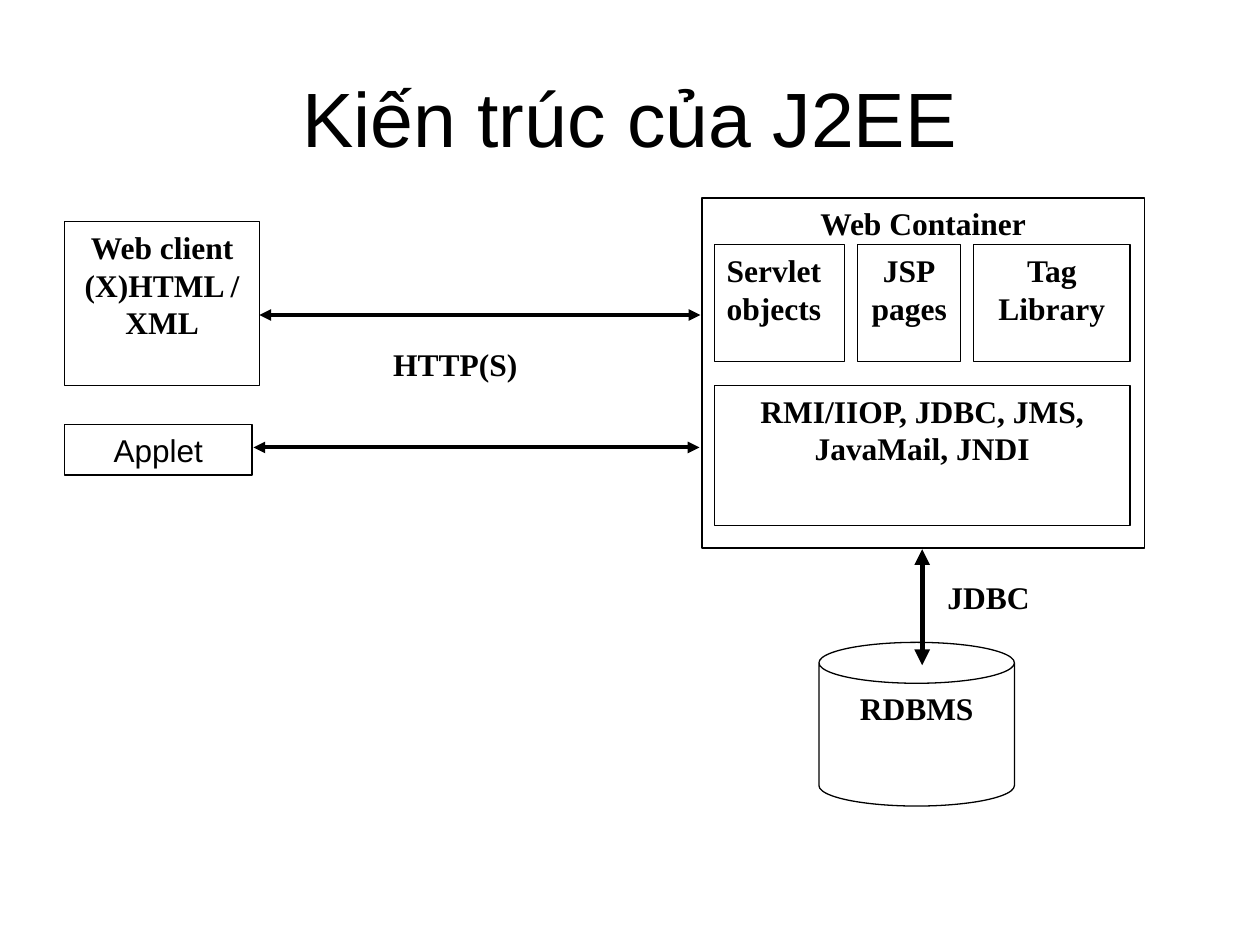
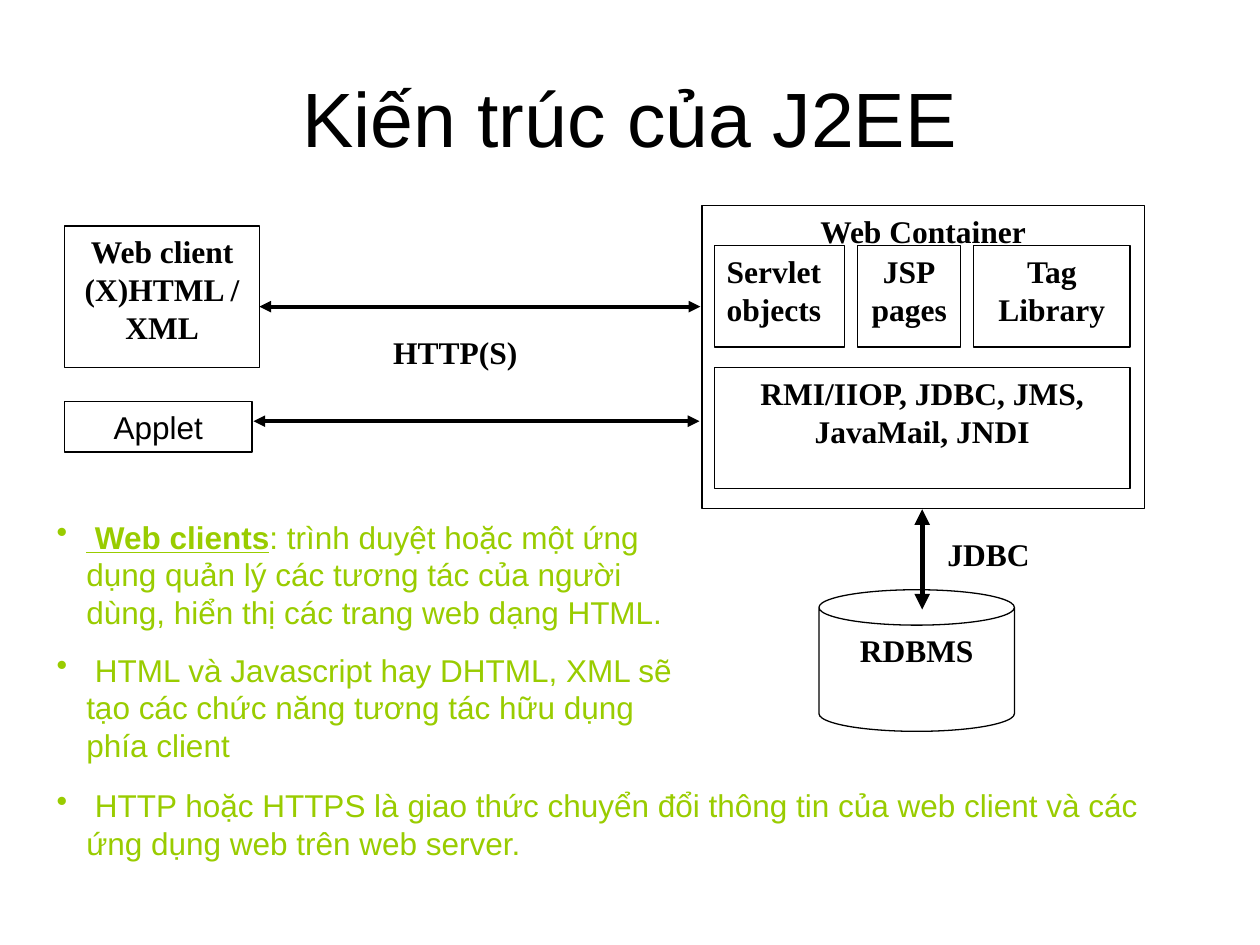
from dataclasses import dataclass
from itertools import accumulate

from lxml import etree
from pptx import Presentation, util as u
from pptx.dml import color
from pptx.enum import shapes, text
from pptx.oxml import ns

HUES = {"ink": "000000", "paper": "FFFFFF", "note": "99CC00"}
SANS, SERIF = "Arial", "Times New Roman"
TITLE = "Kiến trúc của J2EE"
LEFT, MID = text.PP_ALIGN.LEFT, text.PP_ALIGN.CENTER
RECT, CAN = shapes.MSO_SHAPE.RECTANGLE, shapes.MSO_SHAPE.CAN
DIM = 0.6  # bullet indent, cm


@dataclass
class Box:
    """A labelled shape; lengths in cm."""
    label: str
    left: float
    top: float
    width: float
    height: float
    kind: shapes.MSO_SHAPE = RECT
    align: text.PP_ALIGN = MID
    font: str = SERIF
    bold: bool = True
    fill: str | None = "paper"
    line: bool = True
    rigid: bool = False  # keeps its height when the diagram is squeezed


@dataclass
class Arrow:
    """A line with a head at both ends; lengths in cm, weight in points."""
    x1: float
    y1: float
    x2: float
    y2: float
    weight: float = 2.25


@dataclass
class Scale:
    """Vertical squeeze of the diagram, which starts at top."""
    top: float
    ratio: float

    def y(self, val: float) -> float:
        return self.top + (val - ROOF) * self.ratio


# Diagram at full height
ROOF = 3.99
INNER, GAP = 14.4, 0.26
PARTS = [("Servlet objects", 2.63, LEFT), ("JSP\npages", 2.08, MID),
         ("Tag Library", 3.15, MID)]
EDGES = accumulate((wide + GAP for _, wide, _ in PARTS), initial=INNER)

BOXES = [
    Box("Web client\n(X)HTML /\nXML", 1.3, 4.47, 3.94, 3.3),
    Box("Web Container", 14.15, ROOF, 8.92, 7.06),
    *(Box(name, left, 4.93, wide, 2.36, align=align)
      for (name, wide, align), left in zip(PARTS, EDGES)),
    Box("RMI/IIOP, JDBC, JMS, JavaMail, JNDI", INNER, 7.77, 8.38, 2.82),
    Box("HTTP(S)", 5.23, 6.83, 7.9, 1.4, fill=None, line=False),
    Box("RDBMS", 16.51, 12.95, 3.94, 3.3, kind=CAN),
    Box("JDBC", 18.85, 11.53, 3.15, 1.4, align=LEFT, line=False),
    Box("Applet", 1.3, 8.56, 3.78, 1.02, font=SANS, bold=False,
        fill=None, rigid=True),
]
ARROWS = [
    Arrow(5.23, 6.35, 14.12, 6.35),
    Arrow(5.11, 9.02, 14.1, 9.02),
    Arrow(18.59, 11.07, 18.59, 13.41, weight=3),
]


def tint(name: str) -> color.RGBColor:
    return color.RGBColor.from_string(HUES[name])


def write(frame, words: str, *, size: float = 18, font: str = SANS,
          hue: str = "ink", bold: bool = False, align=LEFT,
          anchor=text.MSO_ANCHOR.TOP, lead: str = "",
          bullet: bool = False, gap: float = 0) -> None:
    """Fill a frame, one paragraph a line; lead opens it in bold underline."""
    frame.word_wrap = True
    frame.vertical_anchor = anchor
    for num, line in enumerate(words.split("\n")):
        par = frame.add_paragraph() if num else frame.paragraphs[0]
        par.alignment = align
        if num:
            par.space_before = u.Pt(gap)
        if bullet:
            props = par._p.get_or_add_pPr()
            props.set("marL", str(u.Cm(DIM)))
            props.set("indent", str(-u.Cm(DIM)))
            etree.SubElement(props, ns.qn("a:buChar")).set("char", "•")
        if lead and not num:
            run = par.add_run()
            run.text = lead
            run.font.bold = run.font.underline = True
        run = par.add_run()
        run.text = line
        run.font.bold = bold
        for run in par.runs:
            run.font.size, run.font.name = u.Pt(size), font
            run.font.color.rgb = tint(hue)


def label(slide, words: str, left: float, top: float, width: float,
          height: float, **style) -> None:
    area = slide.shapes.add_textbox(*map(u.Cm, (left, top, width, height)))
    write(area.text_frame, words, **style)


def block(slide, box: Box, scale: Scale) -> None:
    high = box.height if box.rigid else box.height * scale.ratio
    spot = (box.left, scale.y(box.top), box.width, high)
    shape = slide.shapes.add_shape(box.kind, *map(u.Cm, spot))
    shape.shadow.inherit = False
    if box.fill:
        shape.fill.solid()
        shape.fill.fore_color.rgb = tint(box.fill)
    else:
        shape.fill.background()
    if box.line:
        shape.line.color.rgb = tint("ink")
        shape.line.width = u.Pt(0.75)
    else:
        shape.line.fill.background()
    write(shape.text_frame, box.label, font=box.font, bold=box.bold,
          align=box.align)


def link(slide, arrow: Arrow, scale: Scale) -> None:
    ends = (arrow.x1, scale.y(arrow.y1), arrow.x2, scale.y(arrow.y2))
    line = slide.shapes.add_connector(shapes.MSO_CONNECTOR.STRAIGHT,
                                      *map(u.Cm, ends))
    line.line.color.rgb = tint("ink")
    line.line.width = u.Pt(arrow.weight)
    for tag in ("a:headEnd", "a:tailEnd"):
        etree.SubElement(line.line._get_or_add_ln(),
                         ns.qn(tag)).set("type", "triangle")
    etree.SubElement(line._element.spPr, ns.qn("a:effectLst"))


def page(deck, scale: Scale):
    """Add a slide with the title and the diagram."""
    slide = deck.slides.add_slide(deck.slide_layouts[6])
    label(slide, TITLE, 1.27, 0.76, 22.86, 3.18, size=44, align=MID,
          anchor=text.MSO_ANCHOR.MIDDLE)
    for box in BOXES:
        block(slide, box, scale)
    for arrow in ARROWS:
        link(slide, arrow, scale)
    return slide


def main() -> None:
    deck = Presentation()
    deck.slide_width, deck.slide_height = u.Cm(25.4), u.Cm(19.05)

    # Slide 1: the diagram alone
    page(deck, Scale(ROOF, 1))

    # Slide 2: the squeezed diagram with notes
    slide = page(deck, Scale(4.14, 0.865))
    style = dict(hue="note", bullet=True, gap=11.2)
    label(slide, ": trình duyệt hoặc một ứng dụng quản lý các tương tác của "
          "người dùng, hiển thị các trang web dạng HTML.\n"
          " HTML và Javascript hay DHTML, XML sẽ tạo các chức năng tương tác "
          "hữu dụng phía client",
          0.89, 10.31, 13, 5.23, lead=" Web clients", **style)
    label(slide, " HTTP hoặc HTTPS là giao thức chuyển đổi thông tin của "
          "web client và các ứng dụng web trên web server.",
          0.89, 15.72, 23.01, 2.95, **style)

    deck.save("out.pptx")


if __name__ == "__main__":
    main()
